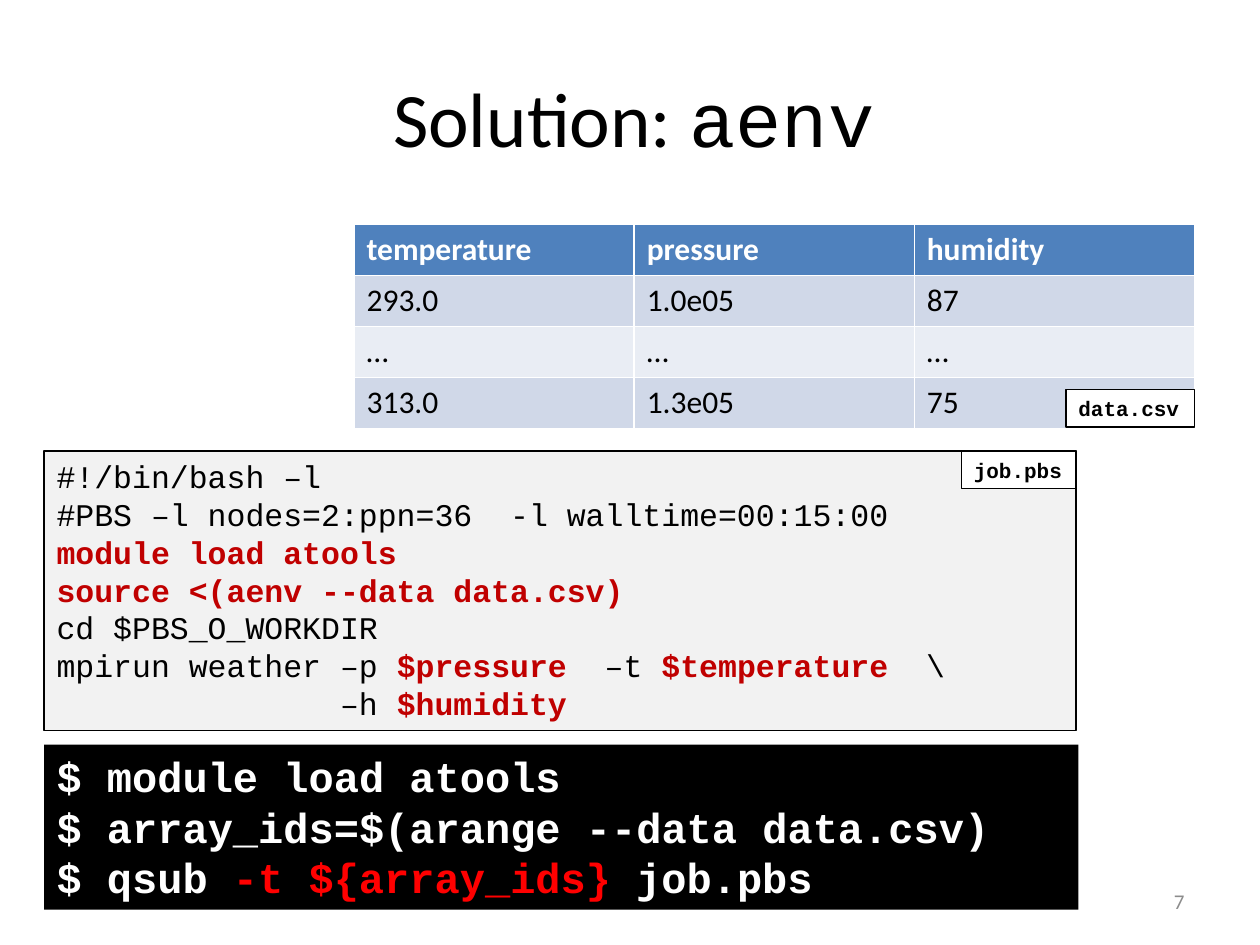
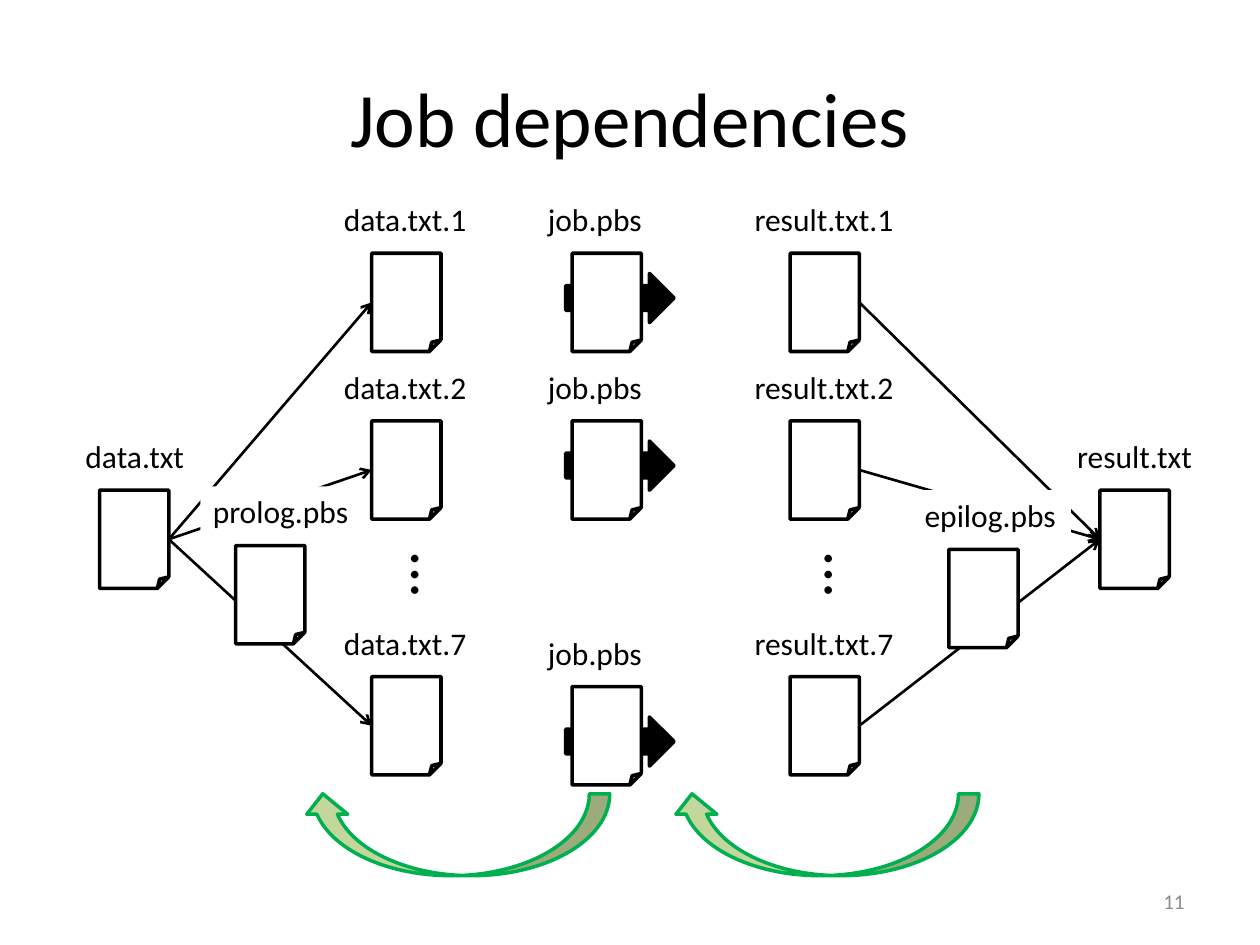
from lxml.etree import SubElement
from pptx import Presentation
from pptx.dml.color import RGBColor
from pptx.enum.shapes import MSO_CONNECTOR, MSO_SHAPE
from pptx.enum.text import MSO_ANCHOR, MSO_AUTO_SIZE, PP_ALIGN
from pptx.oxml.ns import qn
from pptx.util import Inches, Pt

BLACK = RGBColor(0x00, 0x00, 0x00)
WHITE = RGBColor(0xFF, 0xFF, 0xFF)
GRAY = RGBColor(0x8C, 0x8C, 0x8C)
PAPER = RGBColor(0xF2, 0xF2, 0xF2)
DARK_RED = RGBColor(0xC0, 0x00, 0x00)
RED = RGBColor(0xFF, 0x00, 0x00)
BLUE = RGBColor(0x4F, 0x81, 0xBD)
BANDS = (RGBColor(0xE9, 0xED, 0xF4), RGBColor(0xD0, 0xD8, 0xE8))
LEAF = RGBColor(0xC3, 0xD6, 0x9B)
GREEN = RGBColor(0x00, 0xB0, 0x50)

SANS = "Calibri"
MONO = "Courier New"
SHEET_WIDTH, SHEET_HEIGHT = 0.55, 0.78
LABEL_RISE = 0.47  # from the top of a label to the top of its sheet

WEATHER = [
    ("temperature", "pressure", "humidity"),
    ("293.0", "1.0e05", "87"),
    ("…", "…", "…"),
    ("313.0", "1.3e05", "75"),
]

# Each line is a list of spans: (text, emphasised)
JOB_SCRIPT = [
    [("#!/bin/bash –l", False)],
    [("#PBS –l nodes=2:ppn=36  -l walltime=00:15:00", False)],
    [("module load atools", True)],
    [("source <(aenv --data data.csv)", True)],
    [("cd $PBS_O_WORKDIR", False)],
    [("mpirun weather –p ", False), ("$pressure", True), ("  –t ", False),
     ("$temperature", True), ("  \\", False)],
    [("               –h ", False), ("$humidity", True)],
]
COMMANDS = [
    [("$ module load atools", False)],
    [("$ array_ids=$(arange --data data.csv)", False)],
    [("$ qsub ", False), ("-t ${array_ids} ", True), ("job.pbs", False)],
]


def set_font(para, size, color=BLACK, name=SANS, bold=False):
    para.font.size = Pt(size)
    para.font.name = name
    para.font.bold = bold
    para.font.color.rgb = color


def paint(shape, fill, line=None, weight=0.75):
    shape.fill.solid()
    shape.fill.fore_color.rgb = fill
    if line is not None:
        shape.line.color.rgb = line
        shape.line.width = Pt(weight)


def add_page(deck, title_spans, number, title_left=0.5):
    """Add a title-only slide; title_spans holds (text, font name) pairs."""
    page = deck.slides.add_slide(deck.slide_layouts[5])
    title = page.shapes.title
    title.left, title.top = Inches(title_left), Inches(0.3)
    title.width, title.height = Inches(9), Inches(1.25)
    title.text_frame.vertical_anchor = MSO_ANCHOR.MIDDLE
    para = title.text_frame.paragraphs[0]
    para.alignment = PP_ALIGN.CENTER
    set_font(para, 44)
    for text, name in title_spans:
        span = para.add_run()
        span.text = text
        span.font.name = name

    box = page.shapes.add_textbox(Inches(7.17), Inches(6.95), Inches(2.33), Inches(0.4))
    box.text_frame.vertical_anchor = MSO_ANCHOR.MIDDLE
    para = box.text_frame.paragraphs[0]
    para.text = number
    para.alignment = PP_ALIGN.RIGHT
    set_font(para, 12, GRAY)
    return page


def add_label(page, text, left, top, width, height=0.4, size=18, **font):
    box = page.shapes.add_textbox(Inches(left), Inches(top), Inches(width), Inches(height))
    box.text_frame.word_wrap = False
    box.text_frame.auto_size = MSO_AUTO_SIZE.SHAPE_TO_FIT_TEXT
    para = box.text_frame.paragraphs[0]
    para.text = text
    set_font(para, size, **font)
    return box


def add_file_tag(page, text, left, top, width):
    tag = add_label(page, text, left, top, width, 0.3, 12, name=MONO, bold=True)
    paint(tag, WHITE, BLACK)


def add_code(page, lines, top, width, height, size, color, accent, bold=False):
    box = page.shapes.add_textbox(Inches(0.35), Inches(top), Inches(width), Inches(height))
    frame = box.text_frame
    frame.word_wrap = True
    frame.auto_size = MSO_AUTO_SIZE.SHAPE_TO_FIT_TEXT
    for index, line in enumerate(lines):
        para = frame.add_paragraph() if index else frame.paragraphs[0]
        set_font(para, size, color, MONO, bold)
        for text, emphasised in line:
            span = para.add_run()
            span.text = text
            if emphasised:
                span.font.bold = True
                span.font.color.rgb = accent
    return box


def add_data_table(page, rows, left, top, width, height):
    table = page.shapes.add_table(len(rows), len(rows[0]), Inches(left), Inches(top),
                                  Inches(width), Inches(height)).table
    for i, row in enumerate(rows):
        for j, text in enumerate(row):
            cell = table.cell(i, j)
            paint_color = BANDS[i % 2] if i else BLUE
            cell.fill.solid()
            cell.fill.fore_color.rgb = paint_color
            para = cell.text_frame.paragraphs[0]
            para.text = text
            set_font(para, 18, BLACK if i else WHITE, bold=i == 0)


def add_preset(page, kind, left, top, width, height, fill, line):
    shape = page.shapes.add_shape(kind, Inches(left), Inches(top), Inches(width), Inches(height))
    shape.shadow.inherit = False
    paint(shape, fill, line, 2)
    return shape


def add_file(page, name, left, top, label_shift, label_width, opaque=False):
    """Draw a sheet with its name above; label_shift is how far left the name starts."""
    sheet = add_preset(page, MSO_SHAPE.FOLDED_CORNER, left, top,
                       SHEET_WIDTH, SHEET_HEIGHT, WHITE, BLACK)
    label = add_label(page, name, left - label_shift, top - LABEL_RISE, label_width)
    if opaque:
        paint(label, WHITE)
    return sheet


def add_ellipsis(page, left):
    add_label(page, "…", left, 4.2, 0.55, 0.71, 36).rotation = 270


def link_files(page, source, target):
    link = page.shapes.add_connector(MSO_CONNECTOR.STRAIGHT, 0, 0, 0, 0)
    link.begin_connect(source, 3)
    link.end_connect(target, 1)
    link.line.color.rgb = BLACK
    link.line.width = Pt(1.5)
    properties = link._element.spPr
    SubElement(properties.find(qn("a:ln")), qn("a:tailEnd"), type="arrow")
    SubElement(properties, qn("a:effectLst"))


def add_return_arrow(page, left):
    arrow = add_preset(page, MSO_SHAPE.CURVED_UP_ARROW, left, 6.3, 2.44, 0.65, LEAF, GREEN)
    arrow._element.spPr.find(qn("a:xfrm")).set("flipH", "1")


def build_solution(deck):
    page = add_page(deck, [("Solution: ", SANS), ("aenv", MONO)], "7", 0.53)

    # Terminal and job script
    terminal = add_code(page, COMMANDS, 5.91, 8.21, 1.31, 24, WHITE, RED, bold=True)
    paint(terminal, BLACK)
    script = add_code(page, JOB_SCRIPT, 3.58, 8.19, 2.22, 18, BLACK, DARK_RED)
    paint(script, PAPER, BLACK)
    add_file_tag(page, "job.pbs", 7.63, 3.58, 0.91)

    # Input data
    add_data_table(page, WEATHER, 2.81, 1.78, 6.67, 1.62)
    add_file_tag(page, "data.csv", 8.46, 3.09, 1.02)


def build_dependencies(deck):
    page = add_page(deck, [("Job dependencies", SANS)], "11")
    rows = [("1", 2.01), ("2", 3.34), ("7", 5.37)]

    # Files, from the single input to the single result
    source = add_file(page, "data.txt", 0.79, 3.89, 0.21, 0.99)
    result = add_file(page, "result.txt", 8.73, 3.89, 0.28, 1.12)
    for number, top in rows:
        part = add_file(page, f"data.txt.{number}", 2.95, top, 0.32, 1.18)
        link_files(page, source, part)
        output = add_file(page, f"result.txt.{number}", 6.27, top, 0.38, 1.31)
        link_files(page, output, result)
    for left in (2.85, 6.13):
        add_ellipsis(page, left)

    # Job scripts, the last one slightly lower than its files
    for arrow_top, sheet_top in [(2.17, 2.01), (3.5, 3.34), (5.69, 5.45)]:
        add_preset(page, MSO_SHAPE.RIGHT_ARROW, 4.49, arrow_top, 0.86, 0.39, BLACK, BLACK)
        add_file(page, "job.pbs", 4.54, sheet_top, 0.29, 0.95, opaque=True)
    add_file(page, "epilog.pbs", 7.53, 4.36, 0.29, 1.26, opaque=True)
    add_file(page, "prolog.pbs", 1.87, 4.33, 0.28, 1.29, opaque=True)

    # Each stage depends on the one before
    for left in (2.4, 5.33):
        add_return_arrow(page, left)


def main():
    deck = Presentation()
    deck.slide_width, deck.slide_height = Inches(10), Inches(7.5)
    build_solution(deck)
    build_dependencies(deck)
    deck.save("out.pptx")


if __name__ == "__main__":
    main()
